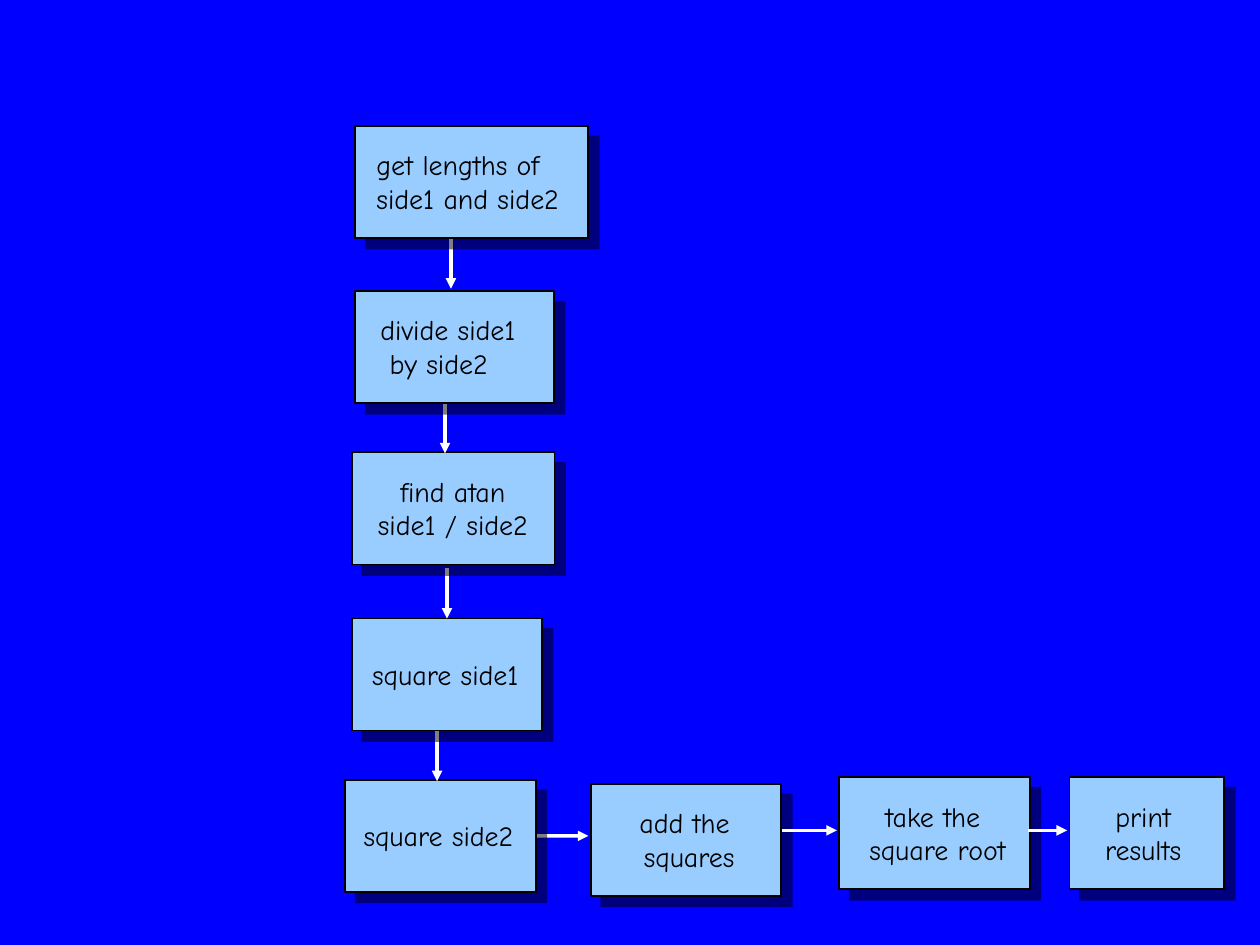
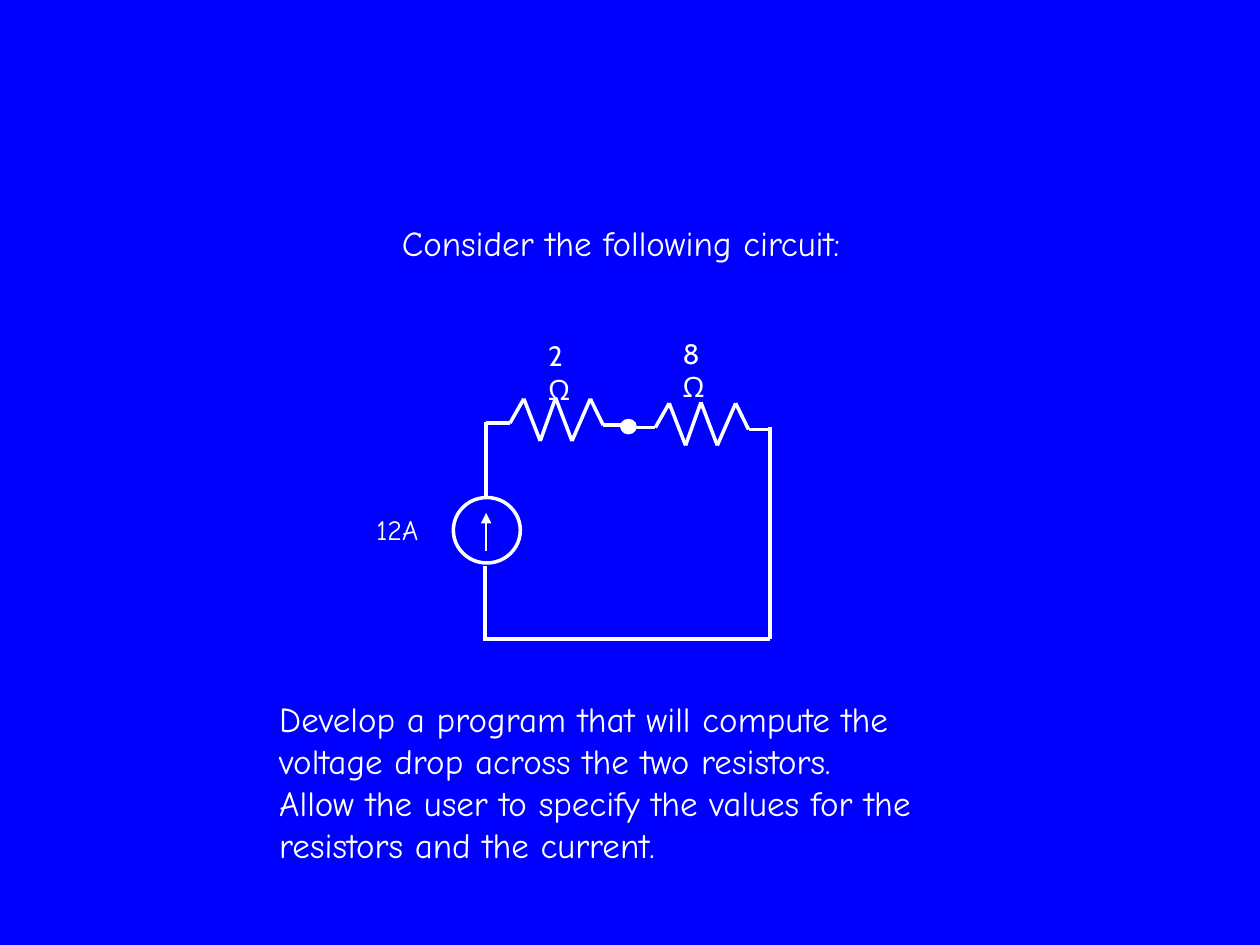
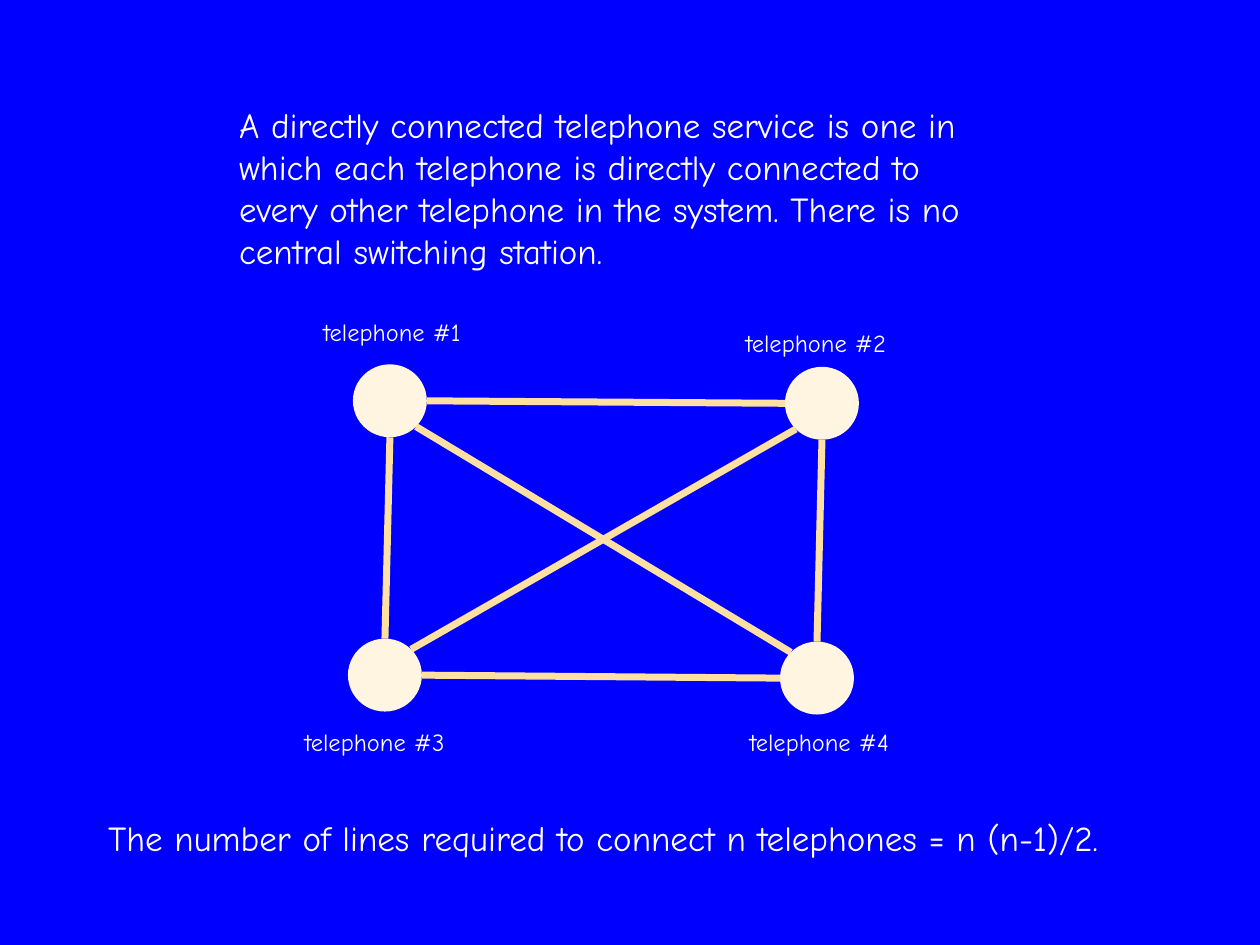
import itertools
import math

import lxml.etree
import pptx
import pptx.dml.color
import pptx.enum.shapes
import pptx.enum.text
import pptx.oxml.ns
import pptx.util

Cm = pptx.util.Cm
Pt = pptx.util.Pt
qn = pptx.oxml.ns.qn
RGBColor = pptx.dml.color.RGBColor
SHAPE = pptx.enum.shapes.MSO_SHAPE
LEFT = pptx.enum.text.PP_ALIGN.LEFT
CENTER = pptx.enum.text.PP_ALIGN.CENTER

BLUE = RGBColor(0x00, 0x00, 0xFF)
SKY = RGBColor(0x99, 0xCC, 0xFF)
WHITE = RGBColor(0xFF, 0xFF, 0xFF)
BLACK = RGBColor(0x00, 0x00, 0x00)
CREAM = RGBColor(0xFF, 0xF5, 0xE0)
SAND = RGBColor(0xFF, 0xE0, 0xA3)
FONT = "Comic Neue"
OHM_FONT = "Cabin"

# box (left, top, width), label (left, width), alignment, lines
STEPS = [
    ((7.16, 2.54, 4.7), (7.34, 4.55), LEFT, ["get lengths of", "side1 and side2"]),
    ((7.16, 5.87, 4.01), (7.42, 3.61), LEFT, ["divide side1", " by side2"]),
    ((7.09, 9.12, 4.09), (7.11, 4.04), CENTER, ["find atan", "side1 / side2"]),
    ((7.09, 12.47, 3.84), (7.09, 3.78), CENTER, ["square side1"]),
    ((6.96, 15.72, 3.84), (6.91, 3.86), CENTER, ["square side2"]),
    ((11.91, 15.8, 3.84), (12.55, 2.69), CENTER, ["add the ", "squares"]),
    ((16.92, 15.67, 3.84), (17.12, 3.56), CENTER, ["take the ", "square root"]),
    ((21.56, 15.67, 3.12), (21.56, 2.97), CENTER, ["print", "results"]),
]
STEP_HEIGHT = 2.26
LABEL_HEIGHTS = {1: 0.94, 2: 1.63}
STEP_ARROWS = {
    1: ((9.09, 4.78), (9.09, 5.82)),
    2: ((8.97, 8.1), (8.97, 9.14)),
    3: ((9.01, 11.46), (9.01, 12.47)),
    4: ((8.81, 14.71), (8.81, 15.75)),
    5: ((10.8, 16.85), (11.86, 16.85)),
    6: ((15.77, 16.74), (16.87, 16.74)),
    7: ((20.73, 16.74), (21.51, 16.74)),
}
DRAW_ORDER = [5, 6, 7, 4, 3, 2, 1, 0]

RESISTOR = [(0, 0), (0.48, 0), (0.76, -0.49), (1.09, 0.36), (1.4, -0.51),
            (1.73, 0.36), (2.1, -0.49), (2.36, 0.04), (2.84, 0.04)]
RESISTOR_STARTS = [(9.8, 8.53), (12.73, 8.62)]
WIRES = [
    ((9.8, 10.03), (9.8, 8.51)),
    ((9.78, 12.93), (9.78, 11.4)),
    ((9.78, 12.88), (15.52, 12.88)),
    ((15.52, 12.88), (15.52, 8.61)),
]
OHMS = [("2Ω", (10.8, 6.71, 1.1, 0.94)), ("8Ω", (13.51, 6.65, 1.1, 0.94))]
TASK = [
    "Develop a program that will compute the",
    "voltage drop across the two resistors.",
    "Allow the user to specify the values for the",
    "resistors and the current.",
]

# label, label box, grid cell, centre
PHONES = [
    ("telephone #1", (6.27, 6.27, 3.58, 0.86), (0, 0), (7.86, 8.08)),
    ("telephone #2", (14.78, 6.48, 3.66, 0.86), (1, 0), (16.57, 8.13)),
    ("telephone #3", (5.89, 14.53, 3.66, 0.86), (0, 1), (7.76, 13.61)),
    ("telephone #4", (14.86, 14.53, 3.66, 0.86), (1, 1), (16.47, 13.67)),
]
PHONE_W, PHONE_H = 1.49, 1.47
SERVICE = [
    "A directly connected telephone service is one in",
    "which each telephone is directly connected to",
    "every other telephone in the system. There is no",
    "central switching station.",
]
LINE_COUNT = ["The number of lines required to connect n telephones = n (n-1)/2."]


def add_text(slide, box, lines, size, color=WHITE, align=LEFT, font=FONT, wrap=False):
    tf = slide.shapes.add_textbox(*map(Cm, box)).text_frame
    tf.word_wrap = wrap
    tf.auto_size = pptx.enum.text.MSO_AUTO_SIZE.SHAPE_TO_FIT_TEXT
    for i, line in enumerate(lines):
        p = tf.add_paragraph() if i else tf.paragraphs[0]
        p.alignment = align
        r = p.add_run()
        r.text = line
        r.font.name = font
        r.font.size = Pt(size)
        r.font.color.rgb = color


def add_shape(slide, kind, box, fill=None, line=None, width=1):
    sp = slide.shapes.add_shape(kind, *map(Cm, box))
    sp.shadow.inherit = False
    if fill is None:
        sp.fill.background()
    else:
        sp.fill.solid()
        sp.fill.fore_color.rgb = fill
    if line is None:
        sp.line.fill.background()
    else:
        sp.line.color.rgb = line
        sp.line.width = Pt(width)
    return sp


def add_line(shapes, start, end, color=WHITE, width=2, arrow=False):
    cx = shapes.add_connector(pptx.enum.shapes.MSO_CONNECTOR.STRAIGHT,
                              *map(Cm, start + end))
    cx.line.color.rgb = color
    cx.line.width = Pt(width)
    if arrow:
        lxml.etree.SubElement(cx.line._get_or_add_ln(), qn("a:tailEnd"), type="triangle")
    lxml.etree.SubElement(cx._element.spPr, qn("a:effectLst"))
    return cx


def cast_shadow(sp):
    effects = sp._element.spPr.find(qn("a:effectLst"))
    shadow = lxml.etree.SubElement(effects, qn("a:outerShdw"), dist=str(Pt(8.5)),
                                   dir="2700000", algn="ctr", rotWithShape="0")
    color = lxml.etree.SubElement(shadow, qn("a:srgbClr"), val=str(BLACK))
    lxml.etree.SubElement(color, qn("a:alpha"), val="50000")


def build_flowchart(slide):
    boxes, arrows = {}, {}
    for i in DRAW_ORDER:
        (left, top, width), (label_left, label_width), align, lines = STEPS[i]
        boxes[i] = add_shape(slide, SHAPE.RECTANGLE, (left, top, width, STEP_HEIGHT),
                             SKY, BLACK)
        cast_shadow(boxes[i])
        height = LABEL_HEIGHTS[len(lines)]
        label_top = top + (STEP_HEIGHT - height) / 2
        add_text(slide, (label_left, label_top, label_width, height), lines, 16,
                 BLACK, align)
        if i in STEP_ARROWS:
            arrows[i] = add_line(slide.shapes, *STEP_ARROWS[i], arrow=True)
    arrows[3].end_connect(boxes[3], 0)
    arrows[5].begin_connect(boxes[4], 3)


def build_circuit(slide):
    add_text(slide, (7.85, 4.34, 10.39, 1.09), ["Consider the following circuit:"], 20)
    add_shape(slide, SHAPE.OVAL, (9.14, 10.03, 1.35, 1.32), line=WHITE, width=2)
    for x, y in RESISTOR_STARTS:
        group = slide.shapes.add_group_shape()
        points = [(x + dx, y + dy) for dx, dy in RESISTOR]
        for start, end in zip(points, points[1:]):
            add_line(group.shapes, start, end)
    add_shape(slide, SHAPE.OVAL, (12.52, 8.46, 0.3, 0.28), WHITE, WHITE)
    for start, end in WIRES:
        add_line(slide.shapes, start, end)
    for value, box in OHMS:
        add_text(slide, box, [value], 16, font=OHM_FONT, wrap=True)
    add_line(slide.shapes, (9.8, 11.1), (9.8, 10.34), width=1, arrow=True)
    add_text(slide, (7.34, 10.21, 1.52, 0.94), ["12A"], 16)
    add_text(slide, (5.38, 13.94, 15.06, 3.68), TASK, 20)


def rim_point(center, dx, dy):
    reach = math.hypot(dx, dy)
    return (center[0] + PHONE_W / 2 * dx / reach, center[1] + PHONE_H / 2 * dy / reach)


def build_telephones(slide):
    for label, box, cell, (x, y) in PHONES:
        add_shape(slide, SHAPE.OVAL,
                  (x - PHONE_W / 2, y - PHONE_H / 2, PHONE_W, PHONE_H), CREAM)
        add_text(slide, box, [label], 14)
    for (_, _, a, center_a), (_, _, b, center_b) in itertools.combinations(PHONES, 2):
        dx, dy = b[0] - a[0], b[1] - a[1]
        add_line(slide.shapes, rim_point(center_a, dx, dy),
                 rim_point(center_b, -dx, -dy), SAND, 4)
    add_text(slide, (4.57, 1.96, 16.71, 3.68), SERVICE, 20)
    add_text(slide, (1.93, 16.33, 22.17, 1.12), LINE_COUNT, 20)


def main():
    prs = pptx.Presentation()
    prs.slide_width, prs.slide_height = Cm(25.4), Cm(19.05)
    fill = prs.slide_master.background.fill
    fill.solid()
    fill.fore_color.rgb = BLUE
    for build in (build_flowchart, build_circuit, build_telephones):
        build(prs.slides.add_slide(prs.slide_layouts[6]))
    prs.save("out.pptx")


if __name__ == "__main__":
    main()
